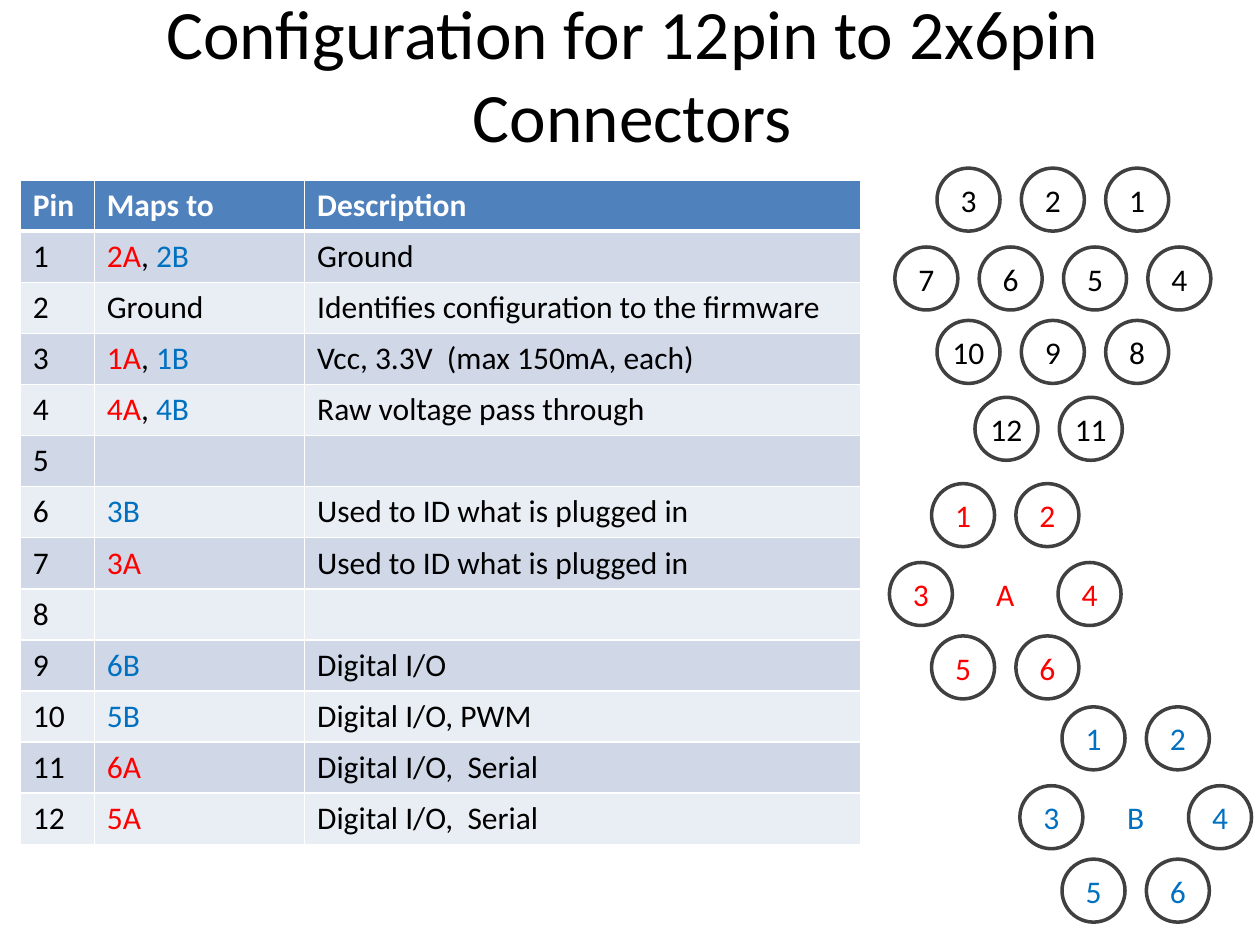
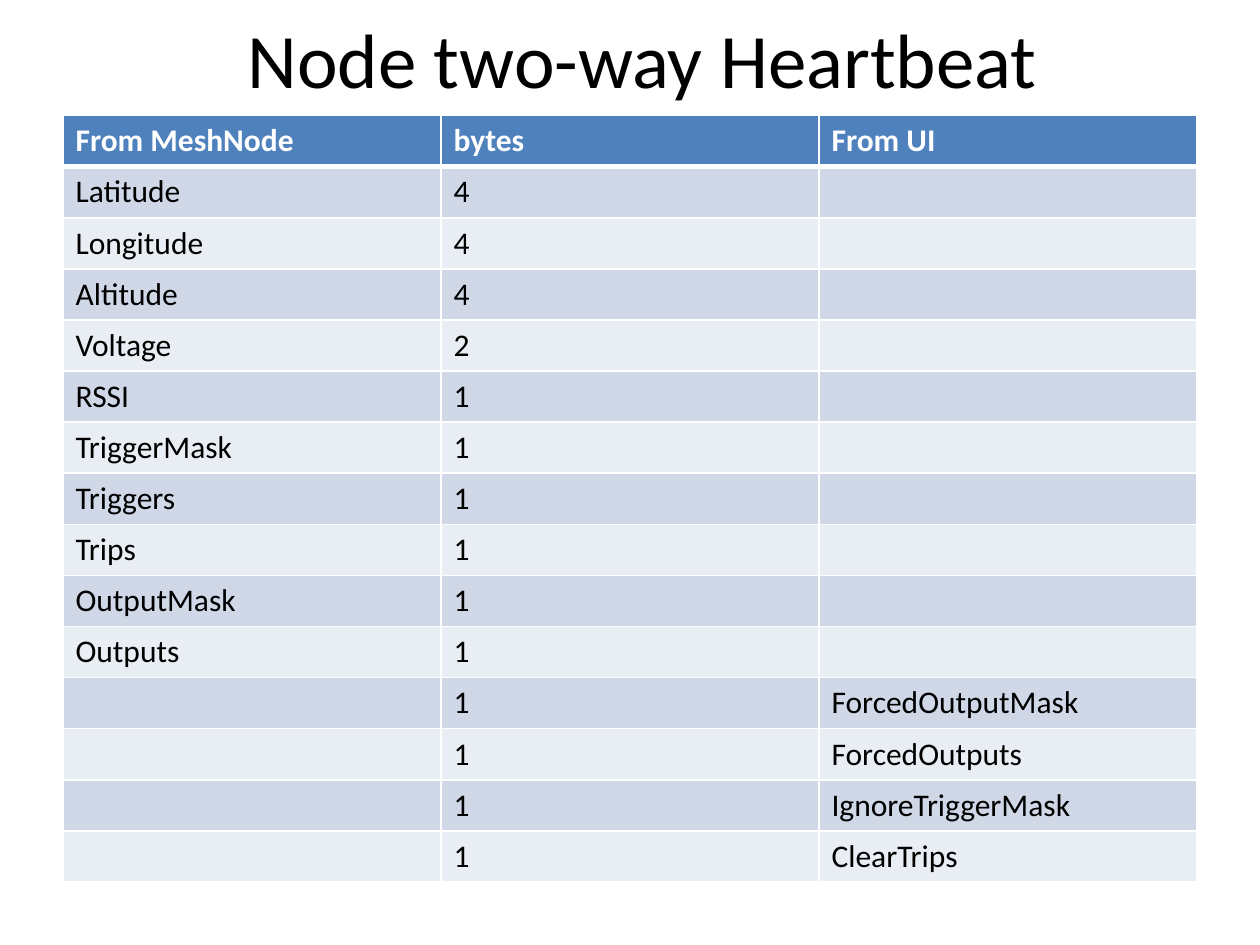
from dataclasses import dataclass
from typing import NamedTuple

from lxml import etree
from pptx import Presentation
from pptx.dml.color import RGBColor
from pptx.enum.shapes import MSO_SHAPE
from pptx.enum.text import MSO_ANCHOR, MSO_AUTO_SIZE, PP_ALIGN
from pptx.oxml.ns import qn
from pptx.util import Cm, Pt

CIRCLE = MSO_SHAPE.OVAL
CENTER = PP_ALIGN.CENTER
MIDDLE = MSO_ANCHOR.MIDDLE
FIXED_SIZE = MSO_AUTO_SIZE.NONE


@dataclass(frozen=True)
class Theme:
    font: str = "Calibri"
    ink: str = "000000"
    paper: str = "FFFFFF"
    header: str = "4F81BD"
    bands: tuple[str, str] = ("D0D8E8", "E9EDF4")
    connector_a: str = "FF0000"
    connector_b: str = "0070C0"
    outline: str = "404040"
    title_size: float = 44
    long_title_size: float = 39.6
    body_size: float = 18
    outline_width: float = 2
    grid_width: float = 1
    header_rule: float = 3


THEME = Theme()
PIN_DIAMETER = 1.27
PIN_PITCH = 1.7
PIN_ROW_TOPS = (0, 1.59, 3.07, 4.62)
ROW_HEIGHT = 1.03
SLIDE_WIDTH = 25.4
SLIDE_HEIGHT = 19.05


class Span(NamedTuple):
    text: str
    color: str = THEME.ink


class Title(NamedTuple):
    text: str
    left: float
    top: float
    height: float
    size: float
    width: float = 22.86


class Grid(NamedTuple):
    left: float
    top: float
    columns: tuple[float, ...]
    header: tuple[str, ...]
    rows: list[tuple]


class PinRow(NamedTuple):
    indent: float
    labels: tuple[str, ...]


class Connector(NamedTuple):
    left: float
    top: float
    color: str
    rows: tuple[PinRow, ...]


def mapped(*pins: str) -> list[Span]:
    colors = {"A": THEME.connector_a, "B": THEME.connector_b}
    spans = []
    for pin in pins:
        if spans:
            spans.append(Span(", "))
        spans.append(Span(pin, colors[pin[-1]]))
    return spans


def six_pins(name: str) -> tuple[PinRow, ...]:
    return (
        PinRow(0.5, ("1", "2")),
        PinRow(0, ("3", name, "4")),
        PinRow(0.5, ("5", "6")),
    )


PIN_TITLE = Title("Configuration for 12pin to 2x6pin Connectors",
                  1.32, 0.43, 2.11, THEME.long_title_size)
PIN_TABLE = Grid(
    0.41, 3.63, (1.49, 4.24, 11.21),
    ("Pin", "Maps to", "Description"),
    [
        ("1", mapped("2A", "2B"), "Ground"),
        ("2", "Ground", "Identifies configuration to the firmware"),
        ("3", mapped("1A", "1B"), "Vcc, 3.3V  (max 150mA, each)"),
        ("4", mapped("4A", "4B"), "Raw voltage pass through"),
        ("5", "", ""),
        ("6", mapped("3B"), "Used to ID what is plugged in"),
        ("7", mapped("3A"), "Used to ID what is plugged in"),
        ("8", "", ""),
        ("9", mapped("6B"), "Digital I/O"),
        ("10", mapped("5B"), "Digital I/O, PWM"),
        ("11", mapped("6A"), "Digital I/O,  Serial"),
        ("12", mapped("5A"), "Digital I/O,  Serial"),
    ],
)
CONNECTORS = (
    Connector(18.04, 3.39, THEME.ink, (
        PinRow(0.5, ("3", "2", "1")),
        PinRow(0, ("7", "6", "5", "4")),
        PinRow(0.5, ("10", "9", "8")),
        PinRow(0.95, ("12", "11")),
    )),
    Connector(17.93, 9.75, THEME.connector_a, six_pins("A")),
    Connector(20.56, 14.25, THEME.connector_b, six_pins("B")),
)
HEARTBEAT_TITLE = Title("Node two-way Heartbeat ",
                        1.7, -0.43, 3.18, THEME.title_size)
HEARTBEAT_TABLE = Grid(
    1.27, 2.33, (7.62, 7.62, 7.62),
    ("From MeshNode", "bytes", "From UI"),
    [
        ("Latitude", "4", ""),
        ("Longitude", "4", ""),
        ("Altitude", "4", ""),
        ("Voltage", "2", ""),
        ("RSSI", "1", ""),
        ("TriggerMask", "1", ""),
        ("Triggers", "1", ""),
        ("Trips", "1", ""),
        ("OutputMask", "1", ""),
        ("Outputs", "1", ""),
        ("", "1", "ForcedOutputMask"),
        ("", "1", "ForcedOutputs"),
        ("", "1", "IgnoreTriggerMask"),
        ("", "1", "ClearTrips"),
    ],
)


def apply_format(target, values: dict) -> None:
    for name, value in values.items():
        setattr(target, name, value)


def write_spans(para, spans: list[Span], size: float, bold: bool = False) -> None:
    for span in spans:
        run = para.add_run()
        run.text = span.text
        apply_format(run.font, {"name": THEME.font, "size": Pt(size), "bold": bold})
        run.font.color.rgb = RGBColor.from_string(span.color)


def write_centered(box, span: Span, size: float, wrap: bool) -> None:
    frame = box.text_frame
    apply_format(frame, {"word_wrap": wrap, "auto_size": FIXED_SIZE,
                         "vertical_anchor": MIDDLE})
    para = frame.paragraphs[0]
    para.alignment = CENTER
    write_spans(para, [span], size)


def draw_title(page, title: Title) -> None:
    box = page.shapes.add_textbox(Cm(title.left), Cm(title.top),
                                  Cm(title.width), Cm(title.height))
    write_centered(box, Span(title.text), title.size, True)


def draw_borders(cell, row_index: int) -> None:
    properties = cell._tc.get_or_add_tcPr()
    widths = dict.fromkeys(("lnL", "lnR", "lnT", "lnB"), THEME.grid_width)
    if row_index == 0:
        widths["lnB"] = THEME.header_rule
    elif row_index == 1:
        widths["lnT"] = THEME.header_rule
    for edge, width in widths.items():
        line = etree.SubElement(properties, qn(f"a:{edge}"), w=str(Pt(width)))
        fill = etree.SubElement(line, qn("a:solidFill"))
        etree.SubElement(fill, qn("a:srgbClr"), val=THEME.paper)


def draw_cell(cell, content: str | list[Span], row_index: int) -> None:
    is_header = row_index == 0
    draw_borders(cell, row_index)
    background = THEME.header if is_header else THEME.bands[(row_index - 1) % 2]
    cell.fill.solid()
    cell.fill.fore_color.rgb = RGBColor.from_string(background)
    if not content:
        return
    if isinstance(content, str):
        content = [Span(content, THEME.paper if is_header else THEME.ink)]
    write_spans(cell.text_frame.paragraphs[0], content, THEME.body_size, is_header)


def draw_table(page, grid: Grid) -> None:
    rows = [grid.header, *grid.rows]
    table = page.shapes.add_table(
        len(rows), len(grid.columns), Cm(grid.left), Cm(grid.top),
        Cm(sum(grid.columns)), Cm(ROW_HEIGHT * len(rows))).table
    for column, width in zip(table.columns, grid.columns):
        column.width = Cm(width)
    for row_index, contents in enumerate(rows):
        table.rows[row_index].height = Cm(ROW_HEIGHT)
        for column_index, content in enumerate(contents):
            draw_cell(table.cell(row_index, column_index), content, row_index)


def draw_pin(page, left: float, top: float, label: Span) -> None:
    bounds = (Cm(left), Cm(top), Cm(PIN_DIAMETER), Cm(PIN_DIAMETER))
    if label.text.isdigit():
        box = page.shapes.add_shape(CIRCLE, *bounds)
        box.shadow.inherit = False
        box.fill.background()
        box.line.color.rgb = RGBColor.from_string(THEME.outline)
        box.line.width = Pt(THEME.outline_width)
    else:
        box = page.shapes.add_textbox(*bounds)
    write_centered(box, label, THEME.body_size, False)


def draw_connector(page, connector: Connector) -> None:
    for row, row_top in zip(connector.rows, PIN_ROW_TOPS):
        for slot, label in enumerate(row.labels):
            left = connector.left + (row.indent + slot) * PIN_PITCH
            draw_pin(page, left, connector.top + row_top,
                     Span(label, connector.color))


def main() -> None:
    deck = Presentation()
    apply_format(deck, {"slide_width": Cm(SLIDE_WIDTH),
                        "slide_height": Cm(SLIDE_HEIGHT)})
    blank = deck.slide_layouts[6]

    pin_page = deck.slides.add_slide(blank)
    draw_title(pin_page, PIN_TITLE)
    draw_table(pin_page, PIN_TABLE)
    for connector in CONNECTORS:
        draw_connector(pin_page, connector)

    heartbeat_page = deck.slides.add_slide(blank)
    draw_title(heartbeat_page, HEARTBEAT_TITLE)
    draw_table(heartbeat_page, HEARTBEAT_TABLE)

    deck.save("out.pptx")


if __name__ == "__main__":
    main()
